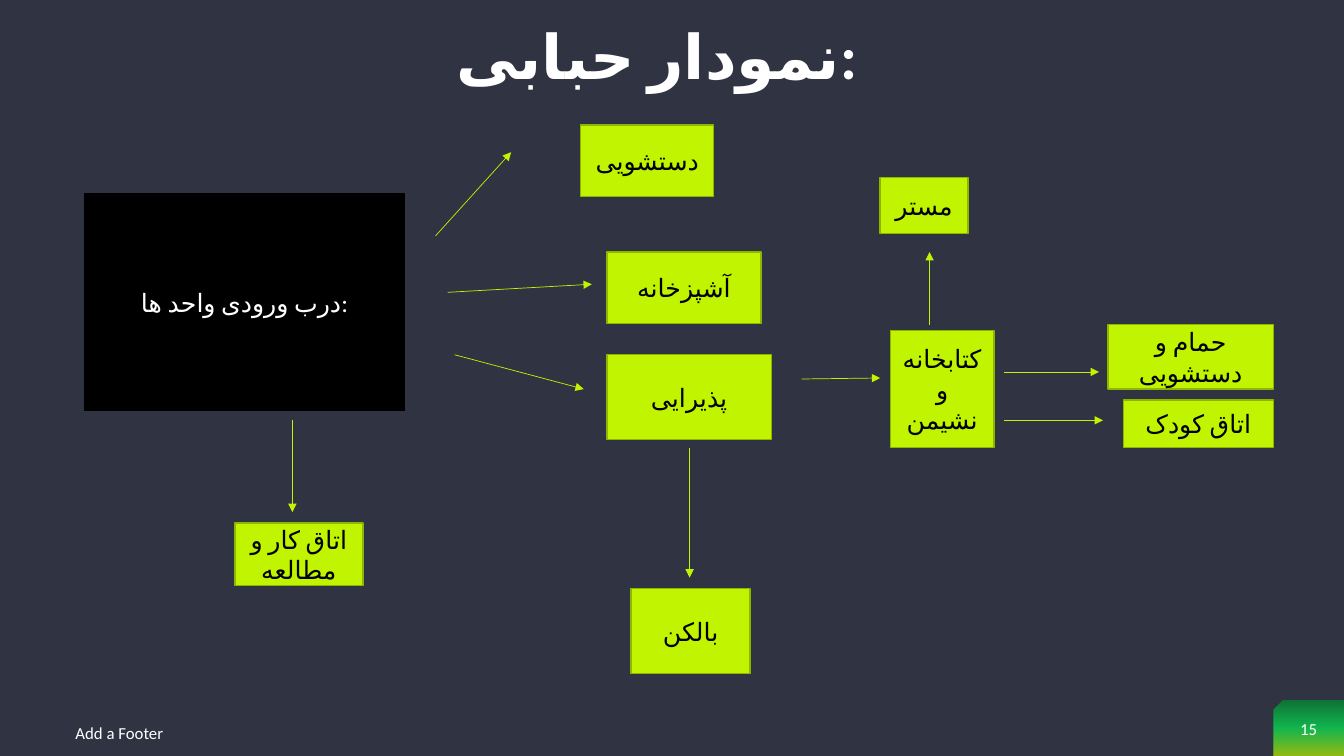
import pptx
import pptx.util
import pptx.dml.color
import pptx.enum.shapes
import pptx.enum.text
import pptx.oxml
import pptx.oxml.ns
from lxml import etree

Inches = pptx.util.Inches
Pt = pptx.util.Pt
SHAPE = pptx.enum.shapes.MSO_SHAPE
ALIGN = pptx.enum.text.PP_ALIGN
LIME, DARK_LIME, WHITE, BLACK = "C0F400", "8EB500", "FFFFFF", "000000"


def rgb(code):
    return pptx.dml.color.RGBColor.from_string(code)


def write(sp, text, size, color, align=ALIGN.CENTER, bold=False):
    """Put one vertically centred paragraph into a shape or text box."""
    tf = sp.text_frame
    tf.word_wrap = True
    tf.vertical_anchor = pptx.enum.text.MSO_ANCHOR.MIDDLE
    tf.text = text
    p = tf.paragraphs[0]
    p.alignment = align
    r = p.runs[0]
    r.font.name = "Calibri"
    r.font.size = Pt(size)
    r.font.bold = bold
    r.font.color.rgb = rgb(color)
    # Persian letters take the complex-script font
    rpr = r._r.get_or_add_rPr()
    rpr.set("lang", "fa-IR")
    etree.SubElement(rpr, pptx.oxml.ns.qn("a:cs"), typeface="Calibri")
    return p


prs = pptx.Presentation()
prs.slide_width, prs.slide_height = Inches(13.33), Inches(7.5)
s = prs.slides.add_slide(prs.slide_layouts[6])
s.background.fill.solid()
s.background.fill.fore_color.rgb = rgb("2F3342")

# Page number tab with a translucent gradient
tab = s.shapes.add_shape(SHAPE.SNIP_1_RECTANGLE, Inches(12.63), Inches(6.95),
                         Inches(0.7), Inches(0.55))
tab.shadow.inherit = False
tab.line.fill.background()
tab.fill.gradient()
tab.fill.gradient_angle = 270
tab._element.spPr.find(pptx.oxml.ns.qn("a:xfrm")).set("flipH", "1")
stops = tab._element.spPr.find(".//" + pptx.oxml.ns.qn("a:gsLst"))
for stop in list(stops):
    stops.remove(stop)
for percent, color in [(0, "038B30"), (50, "05EE55"), (100, LIME)]:
    stops.append(pptx.oxml.parse_xml(
        f'<a:gs {pptx.oxml.ns.nsdecls("a")} pos="{percent * 1000}">'
        f'<a:srgbClr val="{color}"><a:alpha val="70000"/></a:srgbClr></a:gs>'))

# Footer, page number and title
labels = [
    ("Add a Footer", 0.65, 7.07, 4.5, 0.4, 12, ALIGN.LEFT, False),
    ("15", 12.63, 7.01, 0.7, 0.45, 12, ALIGN.CENTER, False),
    ("نمودار حبابی:", 0.5, -0.06, 12.03, 1.3, 44, ALIGN.CENTER, True),
]
for text, x, y, w, h, size, align, bold in labels:
    sp = s.shapes.add_textbox(Inches(x), Inches(y), Inches(w), Inches(h))
    p = write(sp, text, size, WHITE, align, bold)
p.line_spacing = 0.9

# Rooms
rooms = [
    ("درب ورودی واحد ها:", 0.84, 1.92, 3.17, 2.15),
    ("دستشویی", 5.76, 1.24, 1.32, 0.71),
    ("آشپزخانه", 6.02, 2.5, 1.53, 0.71),
    ("پذیرایی", 6.02, 3.52, 1.63, 0.84),
    ("کتابخانه و نشیمن", 8.83, 3.28, 1.03, 1.16),
    ("مستر", 8.73, 1.76, 0.87, 0.56),
    ("حمام و دستشویی", 10.99, 3.22, 1.64, 0.64),
    ("اتاق کودک", 11.14, 3.97, 1.49, 0.47),
    ("اتاق کار و مطالعه", 2.33, 5.19, 1.27, 0.62),
    ("بالکن", 6.26, 5.84, 1.18, 0.84),
]
for i, (text, x, y, w, h) in enumerate(rooms):
    fill, line, color = (LIME, DARK_LIME, BLACK) if i else (BLACK, BLACK, WHITE)
    sp = s.shapes.add_shape(SHAPE.RECTANGLE, Inches(x), Inches(y), Inches(w), Inches(h))
    sp.shadow.inherit = False
    sp.fill.solid()
    sp.fill.fore_color.rgb = rgb(fill)
    sp.line.color.rgb = rgb(line)
    sp.line.width = Pt(1)
    write(sp, text, 18, color)

# Arrows between rooms
arrows = [
    (4.32, 2.34, 5.07, 1.51),
    (4.44, 2.9, 5.87, 2.82),
    (4.51, 3.52, 5.79, 3.86),
    (6.84, 4.44, 6.84, 5.73),
    (7.95, 3.76, 8.73, 3.75),
    (9.22, 3.22, 9.22, 2.5),
    (9.96, 3.69, 10.9, 3.69),
    (9.96, 4.17, 10.94, 4.17),
    (2.9, 4.17, 2.9, 5.08),
]
for ends in arrows:
    arrow = s.shapes.add_connector(pptx.enum.shapes.MSO_CONNECTOR.STRAIGHT,
                                   *[Inches(v) for v in ends])
    arrow.line.color.rgb = rgb(LIME)
    arrow.line.width = Pt(0.5)
    etree.SubElement(arrow.line._get_or_add_ln(), pptx.oxml.ns.qn("a:tailEnd"), type="triangle")
    etree.SubElement(arrow._element.spPr, pptx.oxml.ns.qn("a:effectLst"))

prs.save("out.pptx")
